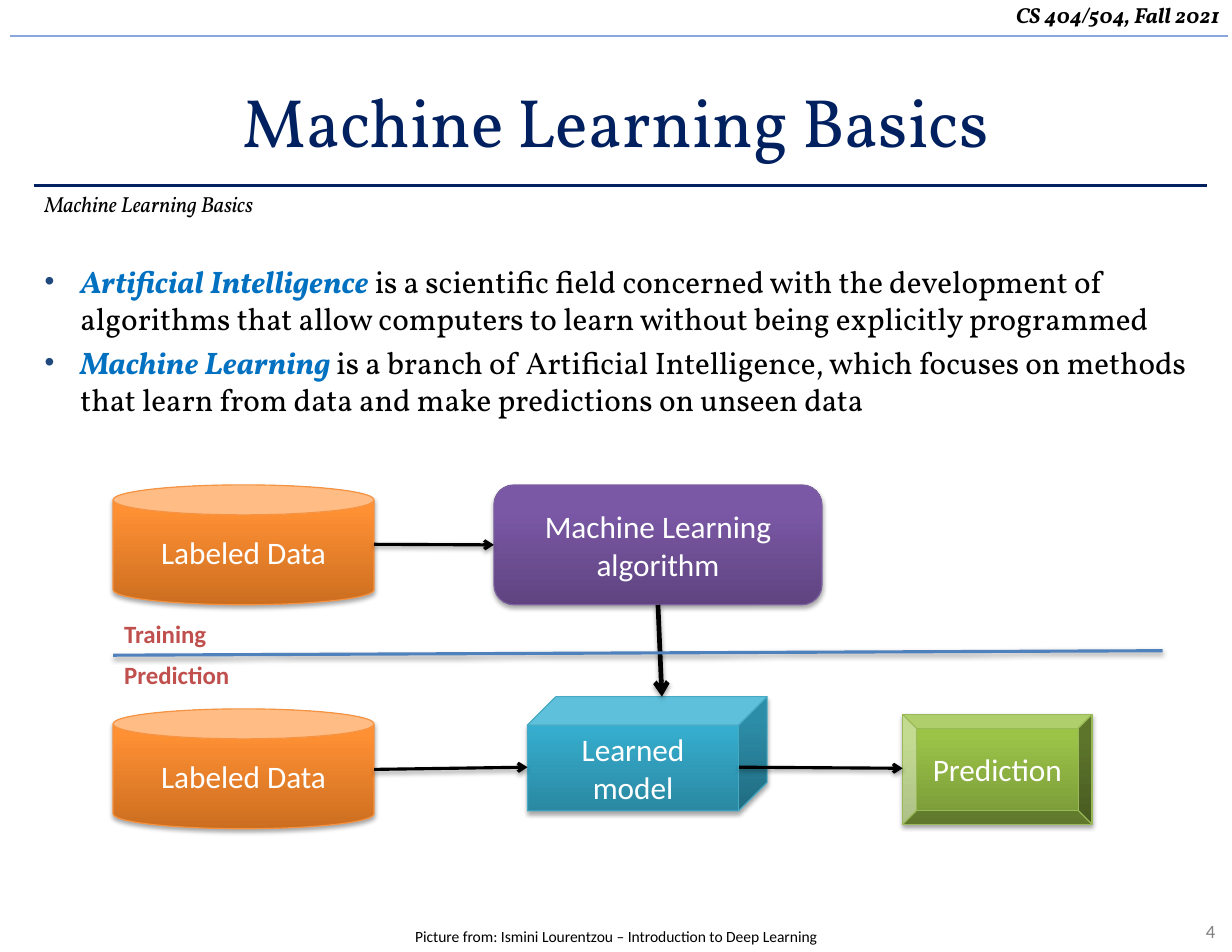
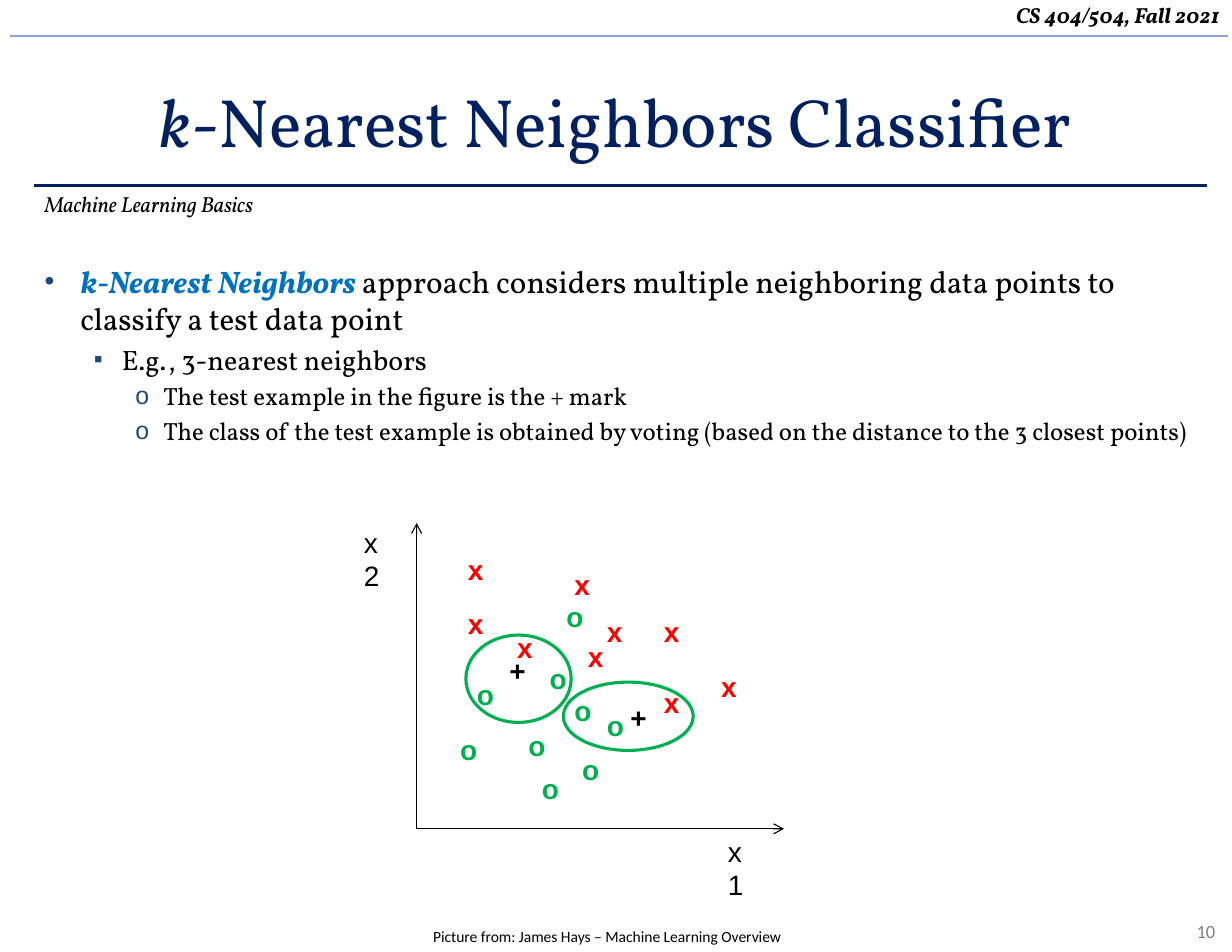
from dataclasses import dataclass

from lxml.etree import SubElement
from pptx import Presentation
from pptx.dml.color import RGBColor
from pptx.enum.shapes import MSO_CONNECTOR, MSO_SHAPE
from pptx.enum.text import MSO_ANCHOR, PP_ALIGN
from pptx.oxml.ns import qn
from pptx.util import Inches, Pt


@dataclass(frozen=True)
class Theme:
    """Fonts, colours and type sizes of the course slides."""
    serif: str = "Vollkorn"
    sans: str = "Calibri"
    plot: str = "Arial"
    navy: str = "002060"
    rule: str = "8AA6DC"
    bullet: str = "1F497D"
    term: str = "0070C0"
    divider: str = "4F81BD"
    stage: str = "C0504D"
    grey: str = "808080"
    black: str = "000000"
    white: str = "FFFFFF"
    red: str = "FF0000"
    green: str = "00B050"
    title_size: float = 44
    body_sizes: tuple = (20, 18, 16)
    box_size: float = 20.1
    plot_size: float = 18
    stage_size: float = 16
    small_size: float = 14
    number_size: float = 12
    credit_size: float = 10


T = Theme()
ORANGE = ("CC6E20", "FF9034", "F69240")
PURPLE = ("5F4480", "7B58A6", "7D60A0")
TEAL = ("2A88A2", "37B1D2", "46AAC5")
LIME = ("779737", "9BC348", "98B955")
BULLETS = (("•", 0.32, -0.32, 90), ("▪", 0.69, -0.25, 90), ("o", 1.06, -0.25, 100))
CROSSES = ((5.32, 5.44), (5.83, 5.44), (5.83, 6.07), (6.34, 5.93), (4.08, 4.88),
           (4.08, 5.37), (5.03, 5.02), (4.52, 5.58), (5.15, 5.66))
CIRCLES = ((4.96, 5.3), (5.32, 6.28), (4.01, 6.49), (4.16, 6), (4.74, 6.84),
           (5.03, 6.14), (4.81, 5.86), (4.62, 6.46), (5.1, 6.67))
PLUSES = ((4.45, 5.79), (5.53, 6.21))


def add_run(p, text, size=14, font=T.serif, color=T.black, bold=False, italic=False):
    """Append one formatted run to a paragraph."""
    r = p.add_run()
    r.text = text
    r.font.size = Pt(size)
    r.font.name = font
    r.font.color.rgb = RGBColor.from_string(color)
    r.font.bold = bold
    r.font.italic = italic


def add_text(s, text, left, top, width, height, align=PP_ALIGN.LEFT, **fmt):
    """Add a text box with a single run."""
    sp = s.shapes.add_textbox(Inches(left), Inches(top), Inches(width), Inches(height))
    tf = sp.text_frame
    tf.word_wrap = True
    p = tf.paragraphs[0]
    p.alignment = align
    add_run(p, text, **fmt)


def add_shadow(effects, alpha, dist):
    """Put a soft downward shadow in an effect list."""
    shadow = SubElement(effects, qn("a:outerShdw"), blurRad=str(Pt(3.1)),
                        dist=str(Pt(dist)), dir="5400000", rotWithShape="0")
    color = SubElement(shadow, qn("a:srgbClr"), val=T.black)
    SubElement(color, qn("a:alpha"), val=str(alpha * 1000))


def add_line(s, start, end, color=T.black, width=2, arrow=False, shadow=False,
             begin=None, finish=None):
    """Add a straight connector, optionally joined to (shape, side) pairs."""
    c = s.shapes.add_connector(MSO_CONNECTOR.STRAIGHT, *map(Inches, start + end))
    if begin:
        c.begin_connect(*begin)
    if finish:
        c.end_connect(*finish)
    c.line.color.rgb = RGBColor.from_string(color)
    c.line.width = Pt(width)
    sp_pr = c._element.spPr
    if arrow:
        SubElement(sp_pr.find(qn("a:ln")), qn("a:tailEnd"), type="arrow")
    effects = SubElement(sp_pr, qn("a:effectLst"))
    if shadow:
        add_shadow(effects, 38, 1.6)


def add_shape(s, kind, left, top, width, height, line, weight):
    """Add a preset shape with an outline and no theme shadow."""
    sp = s.shapes.add_shape(kind, Inches(left), Inches(top), Inches(width), Inches(height))
    sp.shadow.inherit = False
    sp.line.color.rgb = RGBColor.from_string(line)
    sp.line.width = Pt(weight)
    return sp


def add_block(s, kind, text, left, top, width, height, colors):
    """Add a shaded, labelled block of the pipeline."""
    dark, light, line = colors
    sp = add_shape(s, kind, left, top, width, height, line, 0.75)
    sp.fill.gradient()
    sp.fill.gradient_angle = 90
    for stop, color, position in zip(sp.fill.gradient_stops, (dark, light), (0, 0.8)):
        stop.color.rgb = RGBColor.from_string(color)
        stop.position = position
    add_shadow(sp._element.spPr.find(qn("a:effectLst")), 35, 1.8)
    tf = sp.text_frame
    tf.word_wrap = True
    tf.vertical_anchor = MSO_ANCHOR.MIDDLE
    p = tf.paragraphs[0]
    p.alignment = PP_ALIGN.CENTER
    add_run(p, text, size=T.box_size, font=T.sans, color=T.white)
    return sp


def add_ring(s, left, top, width, height):
    """Circle a test point together with its neighbors."""
    add_shape(s, MSO_SHAPE.OVAL, left, top, width, height, T.green, 2).fill.background()


def add_bullets(s, items):
    """Add the body text from (level, term, text) items."""
    sp = s.shapes.add_textbox(Inches(0.3), Inches(2.29), Inches(10.48), Inches(5.87))
    tf = sp.text_frame
    tf.word_wrap = True
    for i, (level, term, text) in enumerate(items):
        p = tf.add_paragraph() if i else tf.paragraphs[0]
        char, margin, indent, percent = BULLETS[level]
        p_pr = p._p.get_or_add_pPr()
        p_pr.set("marL", str(Inches(margin)))
        p_pr.set("indent", str(Inches(indent)))
        SubElement(SubElement(p_pr, qn("a:buClr")), qn("a:srgbClr"), val=T.bullet)
        SubElement(p_pr, qn("a:buSzPct"), val=str(percent * 1000))
        SubElement(p_pr, qn("a:buFont"), typeface=T.plot)
        SubElement(p_pr, qn("a:buChar"), char=char)
        p.level = level
        size = T.body_sizes[level]
        p.space_before = Pt(size * 0.2 if i else 0)
        if term:
            add_run(p, term, size=size, color=T.term, bold=True, italic=True)
        add_run(p, text, size=size)


def add_slide(prs, title, number, credit, credit_left):
    """Add a slide with the shared header, title, section and footer."""
    s = prs.slides.add_slide(prs.slide_layouts[5])
    sp = s.shapes.title
    sp.left, sp.top, sp.width, sp.height = map(Inches, (0, 0.5, 11, 1.15))
    tf = sp.text_frame
    tf.word_wrap = True
    tf.vertical_anchor = MSO_ANCHOR.MIDDLE
    p = tf.paragraphs[0]
    p.alignment = PP_ALIGN.CENTER
    for text, italic in title:
        add_run(p, text, size=T.title_size, color=T.navy, italic=italic)
    add_text(s, number, 9.74, 8.16, 1.21, 0.3, PP_ALIGN.RIGHT,
             size=T.number_size, font=T.sans, color=T.grey)
    add_text(s, "CS 404/504, Fall 2021", 0, -0.03, 10.99, 0.34, PP_ALIGN.RIGHT,
             size=T.small_size, bold=True, italic=True)
    add_line(s, (0.09, 0.32), (10.96, 0.32), T.rule, 1.5)
    add_line(s, (0.3, 1.66), (10.78, 1.66), T.navy)
    add_text(s, "Machine Learning Basics", 0.3, 1.65, 6.77, 0.38,
             size=T.small_size, italic=True)
    add_text(s, credit, credit_left, 8.23, 7.56, 0.27, PP_ALIGN.CENTER,
             size=T.credit_size, font=T.sans)
    return s


def add_pipeline(s):
    """Draw the training and prediction pipeline."""
    for top in (4.33, 6.33):
        add_block(s, MSO_SHAPE.CAN, "Labeled Data", 1.01, top, 2.33, 1.07, ORANGE)
    algorithm = add_block(s, MSO_SHAPE.ROUNDED_RECTANGLE, "Machine Learning algorithm",
                          4.41, 4.33, 2.93, 1.07, PURPLE)
    add_block(s, MSO_SHAPE.CUBE, "Learned model", 4.71, 6.22, 2.14, 1.02, TEAL)
    add_block(s, MSO_SHAPE.BEVEL, "Prediction", 8.06, 6.38, 1.69, 0.98, LIME)
    flow = {"arrow": True, "shadow": True}
    add_line(s, (3.34, 4.86), (4.41, 4.86), finish=(algorithm, 1), **flow)
    add_line(s, (3.34, 6.87), (4.71, 6.85), **flow)
    add_line(s, (6.6, 6.85), (8.06, 6.86), **flow)
    add_line(s, (5.88, 5.39), (5.91, 6.22), width=3, begin=(algorithm, 2), **flow)
    add_line(s, (1.01, 5.85), (10.38, 5.81), T.divider, shadow=True)
    for stage, top, width in (("Training", 5.47, 1.05), ("Prediction", 5.84, 1.3)):
        add_text(s, stage, 1.01, top, width, 0.38, size=T.stage_size,
                 font=T.sans, color=T.stage, bold=True)


def add_scatter(s):
    """Draw the two classes, the test points and their neighborhoods."""
    for mark, color, points in (("x", T.red, CROSSES), ("o", T.green, CIRCLES),
                                ("+", T.black, PLUSES)):
        for left, top in points:
            add_text(s, mark, left, top, 0.3, 0.34, size=T.plot_size,
                     font=T.plot, color=color, bold=True)
    for end in ((3.72, 4.67), (7, 7.4)):
        add_line(s, (3.72, 7.4), end, width=0.75, arrow=True)
    for axis, left, top in (("x2", 3.15, 4.64), ("x1", 6.4, 7.4)):
        add_text(s, axis, left, top, 0.41, 0.34, size=T.plot_size, font=T.plot)
    add_ring(s, 4.16, 5.67, 0.94, 0.78)
    add_ring(s, 5.03, 6.09, 1.16, 0.61)


def main():
    """Build the two slides and save them."""
    prs = Presentation()
    prs.slide_width, prs.slide_height = Inches(11), Inches(8.5)

    s = add_slide(prs, [("Machine Learning Basics", False)], "4",
                  "Picture from: Ismini Lourentzou – Introduction to Deep Learning", 1.72)
    add_bullets(s, [
        (0, "Artificial Intelligence ", "is a scientific field concerned with the development "
            "of algorithms that allow computers to learn without being explicitly programmed"),
        (0, "Machine Learning ", "is a branch of Artificial Intelligence, which focuses on "
            "methods that learn from data and make predictions on unseen data"),
    ])
    add_pipeline(s)

    s = add_slide(prs, [("k", True), ("-Nearest Neighbors Classifier", False)], "10",
                  "Picture from: James Hays – Machine Learning Overview", 1.64)
    add_bullets(s, [
        (0, "k-Nearest Neighbors ", "approach considers multiple neighboring data points "
            "to classify a test data point"),
        (1, "", "E.g., 3-nearest neighbors"),
        (2, "", "The test example in the figure is the + mark"),
        (2, "", "The class of the test example is obtained by voting "
            "(based on the distance to the 3 closest points)"),
    ])
    add_scatter(s)
    prs.save("out.pptx")


if __name__ == "__main__":
    main()
